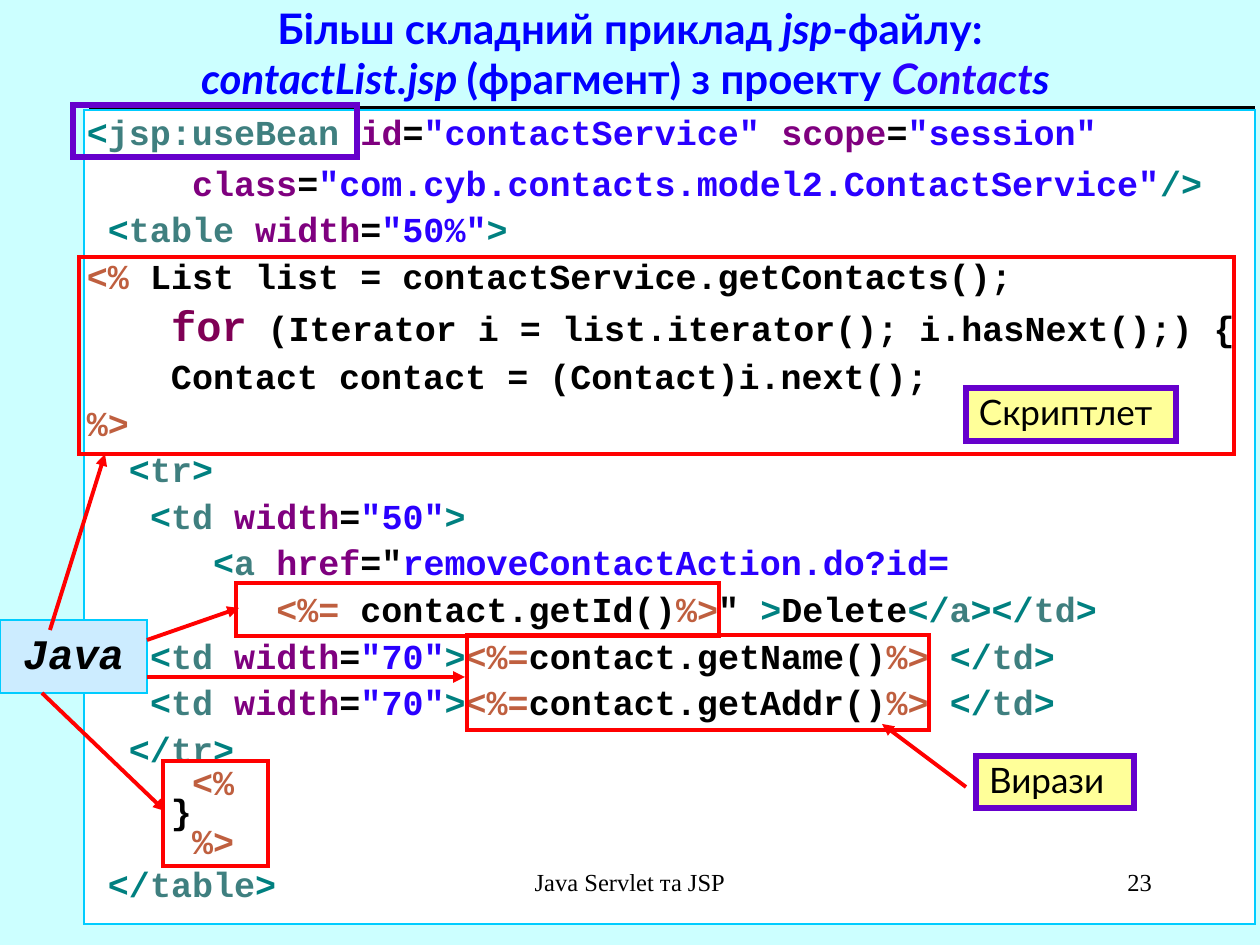
from lxml.etree import SubElement
from pptx import Presentation
from pptx.dml.color import RGBColor
from pptx.enum.shapes import MSO_CONNECTOR, MSO_SHAPE
from pptx.enum.text import MSO_ANCHOR as Anchor, PP_ALIGN as Align
from pptx.oxml.ns import qn
from pptx.util import Pt

EMU_PER_PX = 914400 / 126
COLORS = {
    "background": "CCFFFF", "title": "0000FF", "rule": "000000", "panel": "FFFFFF",
    "border": "00CCFF", "red": "FF0000", "violet": "6600CC", "yellow": "FFFF99",
    "sky": "CCECFF", "text": "000000", "bracket": "008080", "tag": "3F7F7F",
    "attribute": "7F007F", "value": "2A00FF", "script": "BF5F3F", "keyword": "7F0055",
}

# Content: each title run is (text, italic, color)
TITLE = [
    [("Більш складний приклад ", False, "title"), ("jsp", True, "title"),
     ("-файлу:", False, "title")],
    [("contactList.jsp ", True, "title"), ("(фрагмент) з проекту ", False, "title"),
     ("Contact", True, "value"), ("s ", True, "title")],
]


def opening(indent, tag):
    return [("text", indent), ("bracket", "<"), ("tag", tag)]


def closing(indent, tag):
    return [("text", indent), ("bracket", "</"), ("tag", tag), ("bracket", ">")]


def attribute(name, value):
    return [("attribute", name), ("text", "="), ("value", value)]


def cell_start(width):
    return opening("   ", "td ") + attribute("width", width) + [("bracket", ">")]


def contact_cell(getter):
    return (cell_start('"70"')
            + [("script", "<%="), ("text", f"contact.{getter}()"), ("script", "%> ")]
            + closing("", "td"))


# Code lines: (line spacing, [(color, text), ...])
CODE = [
    (1, opening("", "jsp:useBean ") + attribute("id", '"contactService" ')
     + attribute("scope", '"session"')),
    (1, [("text", "     ")]
     + attribute("class", '"com.cyb.contacts.model2.ContactService"')
     + [("bracket", "/>")]),
    (0.9, opening(" ", "table ") + attribute("width", '"50%"') + [("bracket", ">")]),
    (0.9, [("script", "<% "), ("text", "List list = contactService.getContacts();")]),
    (0.9, [("text", "    "), ("keyword", "for"),
           ("text", " (Iterator i = list.iterator(); i.hasNext();) {")]),
    (0.9, [("text", "    Contact contact = (Contact)i.next();")]),
    (0.9, [("script", "%>")]),
    (0.9, opening("  ", "tr") + [("bracket", ">")]),
    (0.9, cell_start('"50"')),
    (0.9, opening("      ", "a ") + [("attribute", "href"), ("text", '="'),
                                     ("value", "removeContactAction.do?id=")]),
    (0.9, [("text", "         "), ("script", "<%="), ("text", " contact.getId()"),
           ("script", "%>"), ("text", '" '), ("bracket", ">"), ("text", "Delete")]
     + closing("", "a") + closing("", "td")),
    (0.9, contact_cell("getName")),
    (0.9, contact_cell("getAddr")),
    (0.9, closing("  ", "tr")),
    (0.5, [("text", "     "), ("script", "<%")]),
    (0.5, [("text", "    }")]),
    (0.5, [("text", "     "), ("script", "%>")]),
    (0.9, closing(" ", "table")),
]

# Places in px: left, top, width, height; lines as x1, y1, x2, y2
TITLE_BOX = (0, 0, 1260, 105)
TITLE_RULE = (89, 108, 1255, 108)
CODE_BOX = (84, 110, 1171, 814)
JAVA_BOX = (0, 620, 147, 73)
BEAN_FRAME = (73, 105, 284, 52)
RED_FRAMES = [(79, 257, 1155, 197), (236, 583, 483, 53),
              (163, 761, 105, 105), (467, 635, 462, 95)]
ARROWS = [(50, 630, 105, 454), (147, 677, 465, 677), (147, 640, 239, 608),
          (42, 693, 165, 811), (966, 787, 882, 724)]
LABELS = [("Скриптлет", (966, 388, 210, 53)), ("Вирази", (976, 756, 158, 52))]
FOOTERS = [("Java Servlet та JSP", (430, 861, 400, 63), Align.CENTER),
           ("23", (903, 861, 262, 63), Align.RIGHT)]


def emu(*lengths):
    return [round(length * EMU_PER_PX) for length in lengths]


def rgb(name):
    return RGBColor.from_string(COLORS[name])


def style(font, name, size, color, bold=False, italic=False):
    font.name, font.size, font.bold, font.italic = name, Pt(size), bold, italic
    font.color.rgb = rgb(color)


def set_insets(frame, left, top, right, bottom):
    frame.margin_left, frame.margin_top, frame.margin_right, frame.margin_bottom = emu(
        left, top, right, bottom)
    frame.word_wrap = True


def add_box(slide, box, line, width, fill=None):
    shape = slide.shapes.add_shape(MSO_SHAPE.RECTANGLE, *emu(*box))
    shape.shadow.inherit = False
    if fill:
        shape.fill.solid()
        shape.fill.fore_color.rgb = rgb(fill)
    else:
        shape.fill.background()
    shape.line.color.rgb = rgb(line)
    shape.line.width = Pt(width)
    SubElement(shape.line._get_or_add_ln(), qn("a:miter"), lim="800000")
    shape.text_frame.vertical_anchor = Anchor.TOP
    return shape


def add_line(slide, ends, color, width, arrow=False):
    connector = slide.shapes.add_connector(MSO_CONNECTOR.STRAIGHT, *emu(*ends))
    connector.line.color.rgb = rgb(color)
    connector.line.width = Pt(width)
    if arrow:
        SubElement(connector.line._get_or_add_ln(), qn("a:tailEnd"), type="triangle")
    SubElement(connector._element.spPr, qn("a:effectLst"))


def add_title(slide):
    title = slide.shapes.title
    title.left, title.top, title.width, title.height = emu(*TITLE_BOX)
    frame = title.text_frame
    set_insets(frame, 13, 6, 13, 6)
    frame.vertical_anchor = Anchor.MIDDLE
    paragraph = frame.paragraphs[0]
    paragraph.alignment = Align.CENTER
    for index, line in enumerate(TITLE):
        if index:
            paragraph.add_line_break()
        for text, italic, color in line:
            run = paragraph.add_run()
            run.text = text
            style(run.font, "Lato", 24, color, True, italic)


def add_code(slide):
    frame = add_box(slide, CODE_BOX, "border", 1, "panel").text_frame
    set_insets(frame, 3, 1, 0, 1)
    for index, (spacing, pieces) in enumerate(CODE):
        paragraph = frame.add_paragraph() if index else frame.paragraphs[0]
        paragraph.alignment = Align.LEFT
        paragraph.line_spacing = spacing
        if index:
            paragraph.space_before = Pt(5)
        for color, text in pieces:
            if text:
                run = paragraph.add_run()
                run.text = text
                style(run.font, "Courier New", 24 if color == "keyword" else 20, color, True)


def set_text(frame, text, alignment, name, size, **emphasis):
    frame.text = text
    paragraph = frame.paragraphs[0]
    paragraph.alignment = alignment
    style(paragraph.runs[0].font, name, size, "text", **emphasis)


def main():
    presentation = Presentation()
    presentation.slide_width, presentation.slide_height = emu(1260, 945)
    slide = presentation.slides.add_slide(presentation.slide_layouts[5])
    slide.background.fill.solid()
    slide.background.fill.fore_color.rgb = rgb("background")

    # Title and code listing
    add_title(slide)
    add_line(slide, TITLE_RULE, "rule", 2.25)
    add_code(slide)

    # Frames around the Java parts, with arrows
    for box in RED_FRAMES:
        add_box(slide, box, "red", 2.25)
    java = add_box(slide, JAVA_BOX, "border", 1, "sky").text_frame
    set_insets(java, 13, 6, 13, 14)
    java.vertical_anchor = Anchor.MIDDLE
    set_text(java, "Java", Align.CENTER, "Courier New", 24, bold=True, italic=True)
    for ends in ARROWS:
        add_line(slide, ends, "red", 2.25, arrow=True)

    # Violet frame and yellow labels
    add_box(slide, BEAN_FRAME, "violet", 3.5)
    for text, box in LABELS:
        frame = add_box(slide, box, "violet", 3.5, "yellow").text_frame
        set_insets(frame, 13, 3, 13, 6)
        set_text(frame, text, Align.LEFT, "Lato", 20)

    # Footer and slide number
    for text, box, alignment in FOOTERS:
        frame = slide.shapes.add_textbox(*emu(*box)).text_frame
        set_insets(frame, 13, 6, 13, 6)
        set_text(frame, text, alignment, "Times New Roman", 14)

    presentation.save("out.pptx")


if __name__ == "__main__":
    main()
